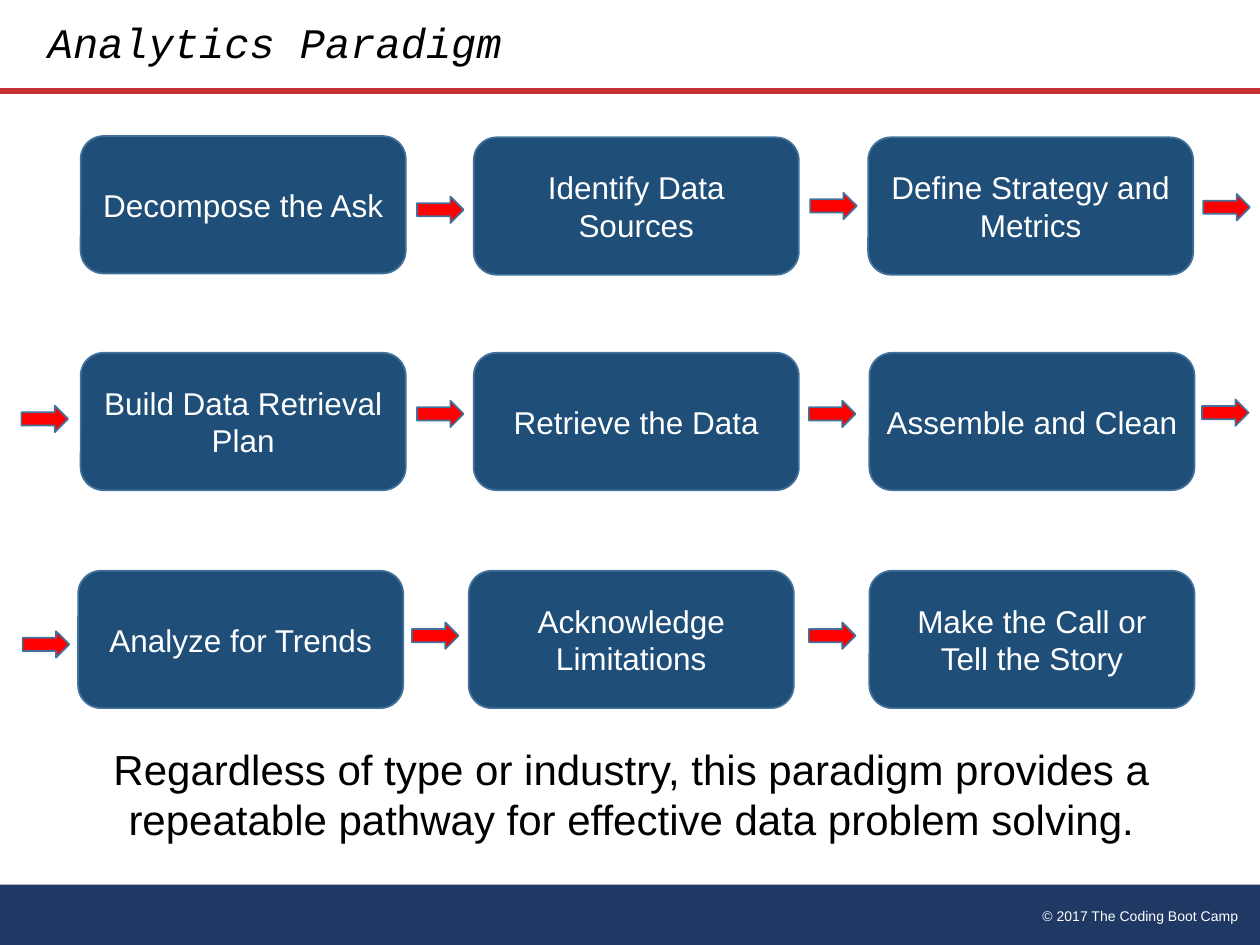
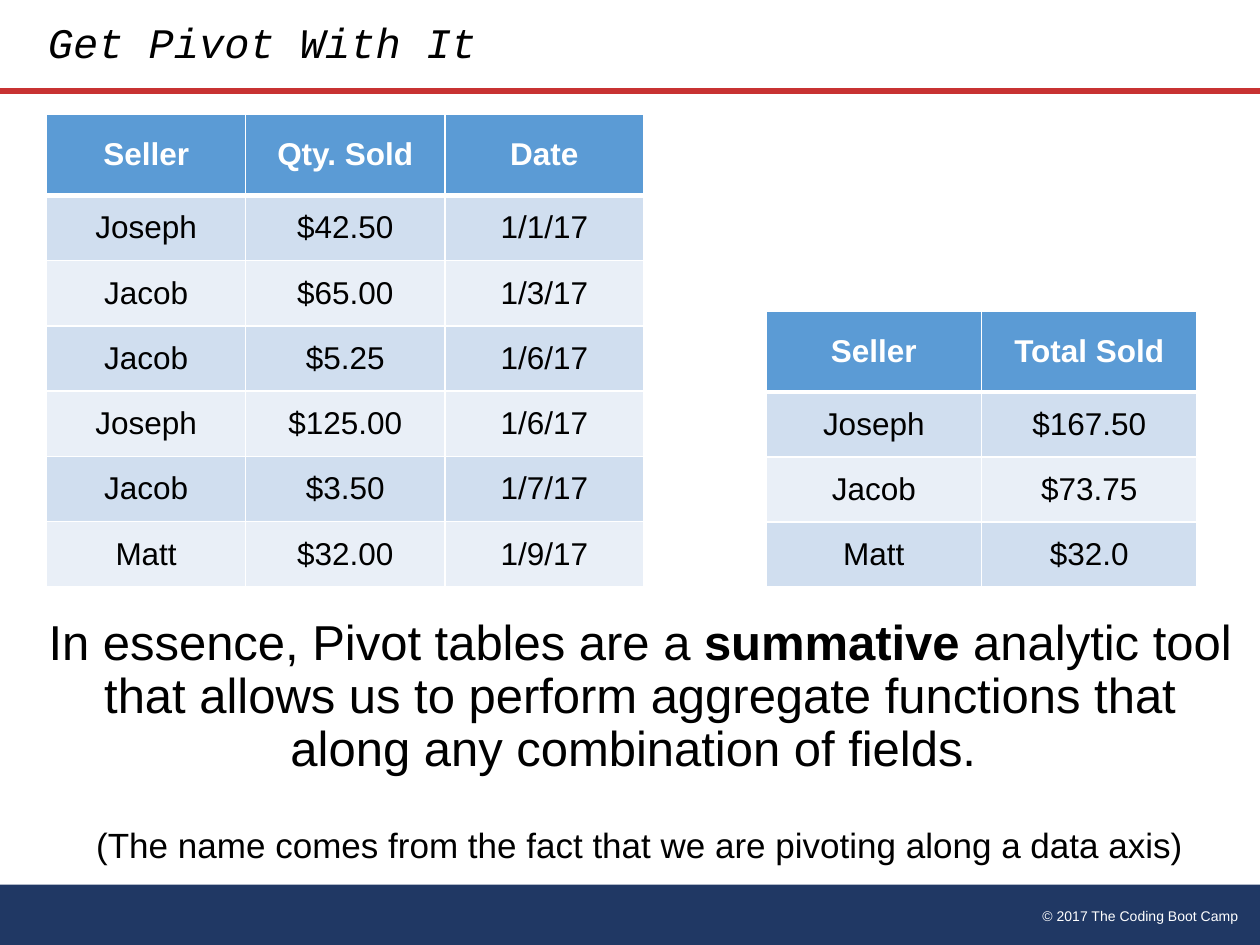
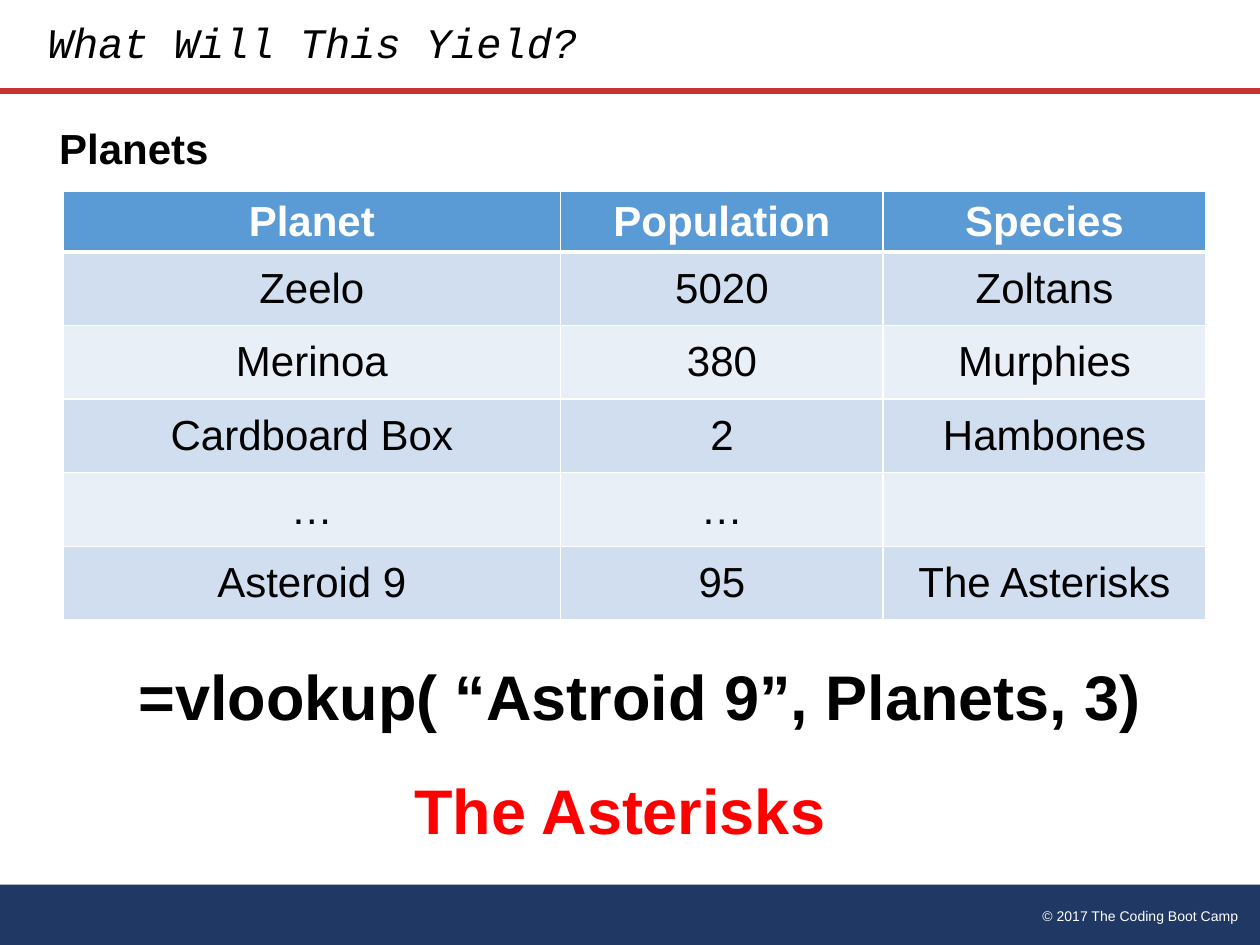
from dataclasses import dataclass
from typing import NamedTuple

from lxml import etree
from pptx import Presentation
from pptx.dml.color import RGBColor
from pptx.enum.shapes import MSO_CONNECTOR, MSO_SHAPE
from pptx.enum.text import MSO_ANCHOR as Anchor, PP_ALIGN as Align
from pptx.oxml.ns import qn
from pptx.util import Inches, Pt

COLORS = {
    "navy": "203864", "rule": "C83232", "card": "1F4E79", "outline": "42719B",
    "red": "FF0000", "header": "5B9BD5", "band": "D0DEEF", "light": "E9EFF7",
    "white": "FFFFFF", "black": "000000",
}
BODY_FONT, TITLE_FONT = "Arial", "Courier New"
INSET = Inches(0.05)
CARD_W, CARD_H = 2.58, 1.09
ARROW_W, ARROW_H = 0.37, 0.21


class Run(NamedTuple):
    text: str
    size: float
    color: str = "black"
    bold: bool = False
    italic: bool = False
    font: str = BODY_FONT


@dataclass
class Card:
    left: float
    top: float
    lines: list[str]


@dataclass
class TextBox:
    left: float
    top: float
    width: float
    height: float
    paragraphs: list[list[Run]]
    align: Align = Align.CENTER
    anchor: Anchor = Anchor.MIDDLE
    spacing: float = 0.9
    gap: float = 0  # points between paragraphs


@dataclass
class Table:
    left: float
    top: float
    height: float
    header_height: float
    col_widths: list[float]
    size: float
    rows: list[list[str]]


def rgb(name: str) -> RGBColor:
    return RGBColor.from_string(COLORS[name])


# Text
def add_run(p, run: Run) -> None:
    r = p.add_run()
    r.text = run.text
    font = r.font
    font.name, font.size = run.font, Pt(run.size)
    font.bold, font.italic = run.bold, run.italic
    font.color.rgb = rgb(run.color)


def fill_text(tf, paragraphs: list[list[Run]], align: Align, anchor: Anchor,
              spacing: float = 1.0, gap: float = 0) -> None:
    tf.word_wrap = True
    tf.vertical_anchor = anchor
    tf.margin_left = tf.margin_right = tf.margin_top = tf.margin_bottom = INSET
    for i, runs in enumerate(paragraphs):
        p = tf.add_paragraph() if i else tf.paragraphs[0]
        p.alignment, p.line_spacing = align, spacing
        p.space_before = Pt(gap if i else 0)
        for run in runs:
            add_run(p, run)


def add_text(s, box: TextBox) -> None:
    sp = s.shapes.add_textbox(Inches(box.left), Inches(box.top),
                              Inches(box.width), Inches(box.height))
    fill_text(sp.text_frame, box.paragraphs, box.align, box.anchor, box.spacing, box.gap)


# Shapes
def add_box(s, kind: MSO_SHAPE, left: float, top: float, width: float, height: float,
            fill: str, outline: str = ""):
    sp = s.shapes.add_shape(kind, Inches(left), Inches(top), Inches(width), Inches(height))
    sp.shadow.inherit = False
    sp.fill.solid()
    sp.fill.fore_color.rgb = rgb(fill)
    if outline:
        sp.line.color.rgb = rgb(outline)
        sp.line.width = Pt(1)
    else:
        sp.line.fill.background()
    return sp


def add_card(s, card: Card) -> None:
    sp = add_box(s, MSO_SHAPE.ROUNDED_RECTANGLE, card.left, card.top, CARD_W, CARD_H,
                 "card", "outline")
    lines = [[Run(line, 18, "white")] for line in card.lines]
    fill_text(sp.text_frame, lines, Align.CENTER, Anchor.MIDDLE)


# Tables
def set_borders(cell, row: int) -> None:
    tc_pr = cell._tc.get_or_add_tcPr()
    widths = {"lnL": 1, "lnR": 1, "lnT": 3 if row == 1 else 1, "lnB": 3 if row == 0 else 1}
    for i, (tag, width) in enumerate(widths.items()):
        ln = etree.Element(qn(f"a:{tag}"), w=str(Pt(width)))
        fill = etree.SubElement(ln, qn("a:solidFill"))
        etree.SubElement(fill, qn("a:srgbClr"), val=COLORS["white"])
        tc_pr.insert(i, ln)


def add_table(s, spec: Table) -> None:
    n_rows, n_cols = len(spec.rows), len(spec.col_widths)
    frame = s.shapes.add_table(n_rows, n_cols, Inches(spec.left), Inches(spec.top),
                               Inches(sum(spec.col_widths)), Inches(spec.height))
    table = frame.table
    for col, width in zip(table.columns, spec.col_widths):
        col.width = Inches(width)
    body_height = (spec.height - spec.header_height) / (n_rows - 1)
    for i, values in enumerate(spec.rows):
        table.rows[i].height = Inches(body_height if i else spec.header_height)
        fill = "header" if i == 0 else "band" if i % 2 else "light"
        for j, value in enumerate(values):
            cell = table.cell(i, j)
            cell.fill.solid()
            cell.fill.fore_color.rgb = rgb(fill)
            cell.vertical_anchor = Anchor.MIDDLE
            cell.margin_left = cell.margin_right = INSET
            cell.margin_top = cell.margin_bottom = Inches(0.04)
            set_borders(cell, i)
            p = cell.text_frame.paragraphs[0]
            p.alignment = Align.CENTER
            if value:
                add_run(p, Run(value, spec.size, "black" if i else "white", bold=i == 0))


# Shared frame: footer band, copyright, red rule, title
def new_slide(prs, title: str, title_width: float = 5.98):
    s = prs.slides.add_slide(prs.slide_layouts[5])
    add_box(s, MSO_SHAPE.RECTANGLE, 0, 7.02, 10, 0.48, "navy")
    add_text(s, TextBox(6.83, 7.15, 3.05, 0.22,
                        [[Run("© 2017 The Coding Boot Camp", 8, "white")]],
                        Align.RIGHT, Anchor.TOP, 1.0))
    rule = s.shapes.add_connector(MSO_CONNECTOR.STRAIGHT, 0, Inches(0.72),
                                  Inches(10), Inches(0.72))
    rule.line.color.rgb = rgb("rule")
    rule.line.width = Pt(3.25)
    etree.SubElement(rule._element.spPr, qn("a:effectLst"))
    sp = s.shapes.title
    sp.left, sp.top = Inches(0.33), Inches(0)
    sp.width, sp.height = Inches(title_width), Inches(0.72)
    fill_text(sp.text_frame, [[Run(title, 24, italic=True, font=TITLE_FONT)]],
              Align.LEFT, Anchor.MIDDLE, 0.9)
    return s


# Slide 1
CARDS = [
    Card(0.64, 1.08, ["Decompose the Ask"]),
    Card(3.76, 1.09, ["Identify Data Sources"]),
    Card(6.89, 1.09, ["Define Strategy and Metrics"]),
    Card(0.64, 2.8, ["Build Data Retrieval Plan"]),
    Card(3.76, 2.8, ["Retrieve the Data"]),
    Card(6.9, 2.8, ["Assemble and Clean"]),
    Card(0.62, 4.53, ["Analyze for Trends"]),
    Card(3.72, 4.53, ["Acknowledge Limitations"]),
    Card(6.9, 4.53, ["Make the Call or", "Tell the Story"]),
]
ARROWS = [
    (3.31, 1.56), (6.43, 1.53), (9.55, 1.54),
    (0.17, 3.22), (3.31, 3.18), (6.42, 3.18), (9.54, 3.17),
    (0.18, 5.01), (3.27, 4.94), (6.42, 4.94),
]


def paradigm_slide(prs) -> None:
    s = new_slide(prs, "Analytics Paradigm", 6.92)
    for card in CARDS:
        add_card(s, card)
    for left, top in ARROWS:
        add_box(s, MSO_SHAPE.RIGHT_ARROW, left, top, ARROW_W, ARROW_H, "red", "outline")
    add_text(s, TextBox(0.37, 5.85, 9.28, 0.87, [[Run(
        "Regardless of type or industry, this paradigm provides a repeatable pathway "
        "for effective data problem solving.", 24)]], anchor=Anchor.TOP, spacing=1.0))


# Slide 2
SALES = Table(0.37, 0.91, 3.75, 0.64, [1.58] * 3, 18, [
    ["Seller", "Qty. Sold", "Date"],
    ["Joseph", "$42.50", "1/1/17"],
    ["Jacob", "$65.00", "1/3/17"],
    ["Jacob", "$5.25", "1/6/17"],
    ["Joseph", "$125.00", "1/6/17"],
    ["Jacob", "$3.50", "1/7/17"],
    ["Matt", "$32.00", "1/9/17"],
])
TOTALS = Table(6.08, 2.47, 2.19, 0.64, [1.71] * 2, 18, [
    ["Seller", "Total Sold"],
    ["Joseph", "$167.50"],
    ["Jacob", "$73.75"],
    ["Matt", "$32.0"],
])


def pivot_slide(prs) -> None:
    s = new_slide(prs, "Get Pivot With It")
    add_text(s, TextBox(0.33, 4.86, 9.5, 2.02, [
        [Run("In essence, Pivot tables are a ", 28),
         Run("summative ", 28, bold=True),
         Run("analytic tool that allows us to perform aggregate functions that "
             "along any combination of fields. ", 28)],
        [Run("(The name comes from the fact that we are pivoting along a data axis)", 20)],
    ], anchor=Anchor.TOP, gap=29))
    add_table(s, SALES)
    add_table(s, TOTALS)


# Slide 3
PLANETS = Table(0.5, 1.52, 3.38, 0.46, [3.95, 2.56, 2.56], 24, [
    ["Planet", "Population", "Species"],
    ["Zeelo", "5020", "Zoltans"],
    ["Merinoa", "380", "Murphies"],
    ["Cardboard Box", "2", "Hambones"],
    ["…", "…", ""],
    ["Asteroid 9", "95", "The Asterisks"],
])


def lookup_slide(prs) -> None:
    s = new_slide(prs, "What Will This Yield?")
    add_table(s, PLANETS)
    add_text(s, TextBox(0.33, 5.22, 9.5, 0.67,
                        [[Run("=vlookup( “Astroid 9”, Planets, 3)", 36, bold=True)]]))
    add_text(s, TextBox(0.42, 0.96, 9.5, 0.48, [[Run("Planets", 24, bold=True)]], Align.LEFT))
    add_text(s, TextBox(0.17, 6.13, 9.5, 0.67, [[Run("The Asterisks", 36, "red", bold=True)]]))


def main() -> None:
    prs = Presentation()
    prs.slide_width, prs.slide_height = Inches(10), Inches(7.5)
    paradigm_slide(prs)
    pivot_slide(prs)
    lookup_slide(prs)
    prs.save("out.pptx")


if __name__ == "__main__":
    main()
